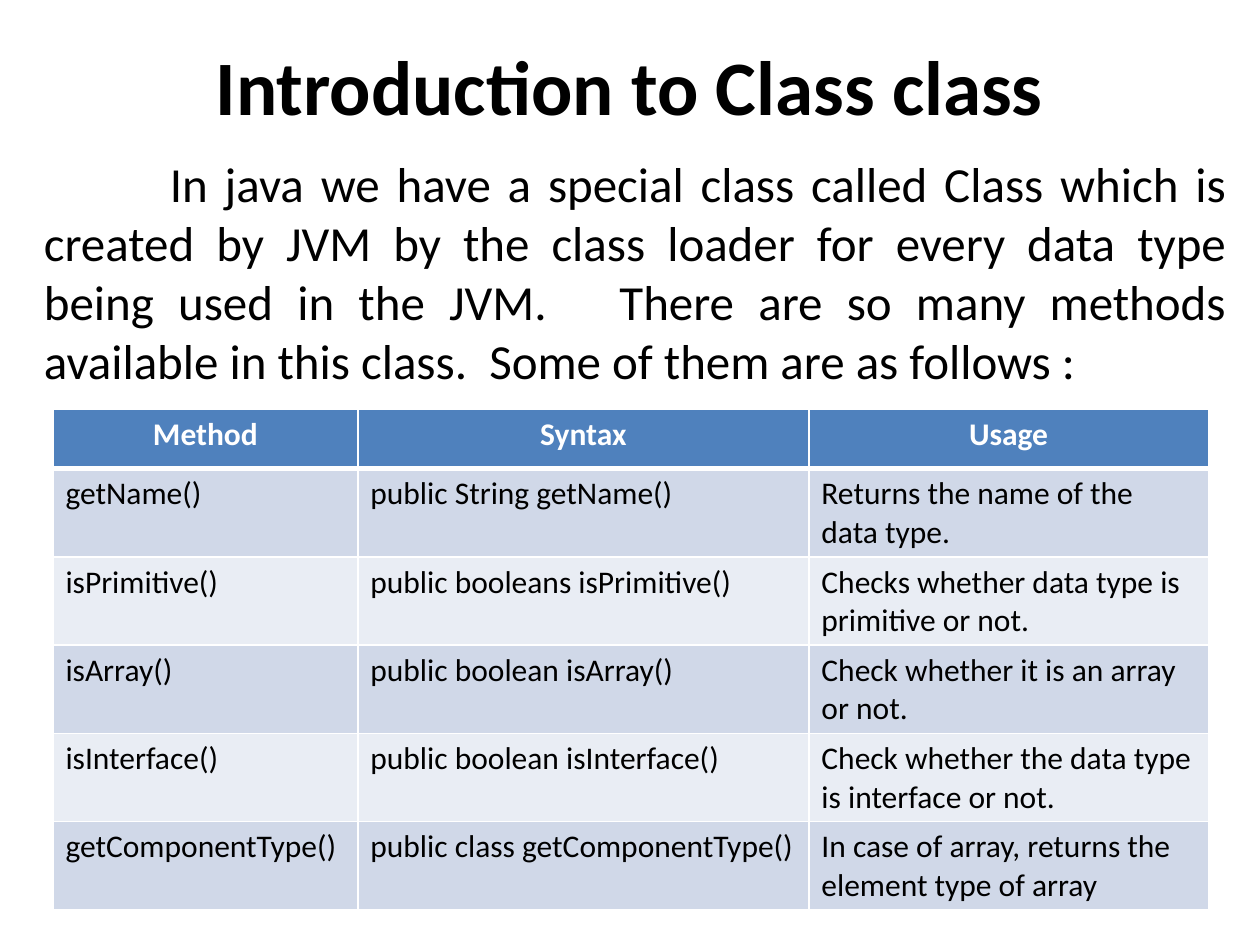
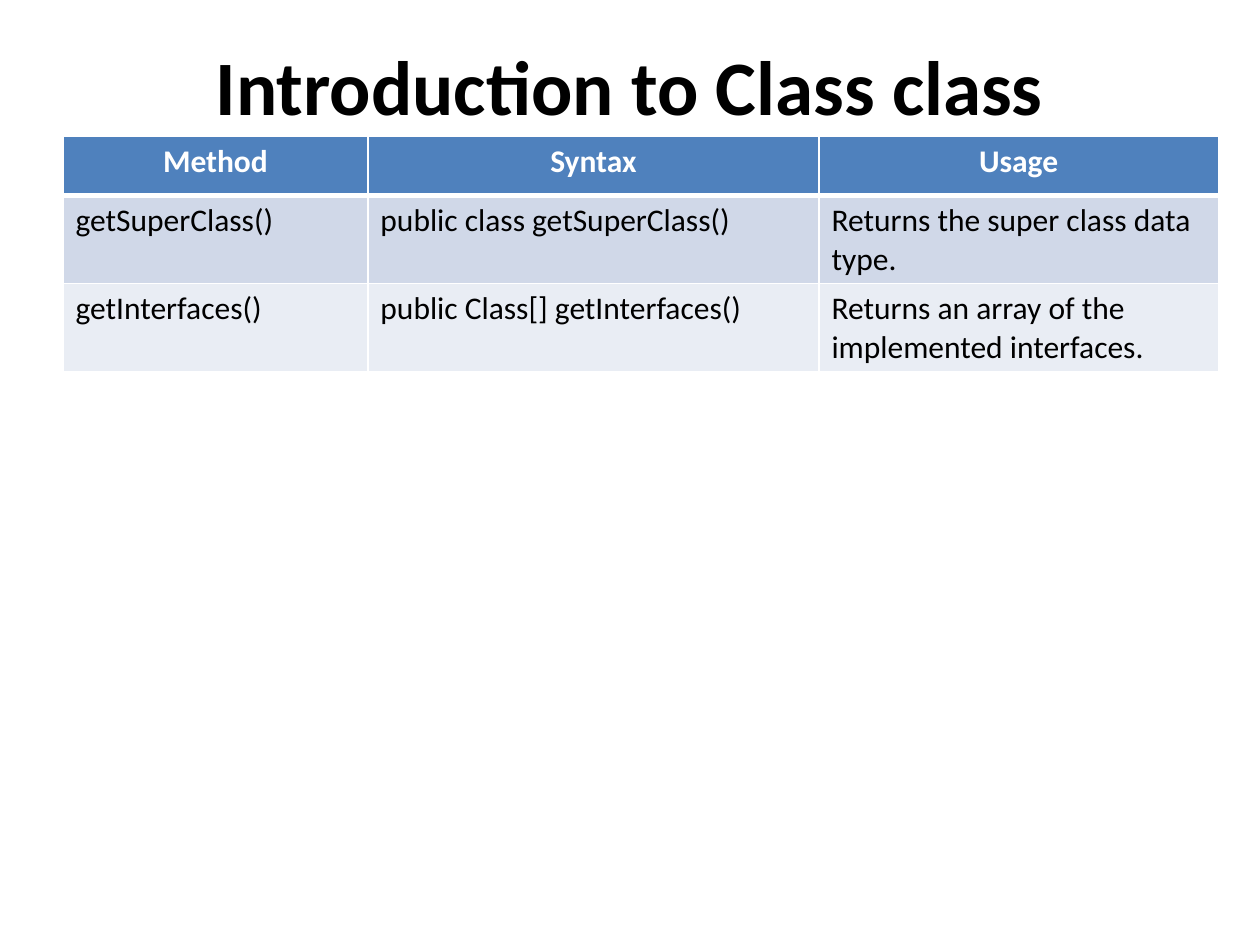
from dataclasses import dataclass

from lxml.etree import SubElement
from pptx import Presentation
from pptx.dml.color import RGBColor
from pptx.enum.text import MSO_ANCHOR, PP_ALIGN
from pptx.oxml.ns import qn
from pptx.slide import Slide
from pptx.table import _Cell
from pptx.text.text import TextFrame, _Paragraph
from pptx.util import Inches, Pt


@dataclass(frozen=True)
class Theme:
    font: str = "Calibri"
    ink: str = "000000"
    paper: str = "FFFFFF"
    header: str = "4F81BD"
    bands: tuple[str, str] = ("D0D8E8", "E9EDF4")
    title_size: int = 44
    intro_size: int = 28
    table_size: int = 18
    rule: int = 1
    header_rule: int = 3


@dataclass(frozen=True)
class Method:
    name: str
    syntax: str
    usage: str


@dataclass(frozen=True)
class MethodTable:
    left: float
    top: float
    methods: tuple[Method, ...]


THEME = Theme()
TITLE = "Introduction to Class class"
INTRO = (
    "In java we have a special class called Class which is created by JVM by the "
    "class loader for every data type being used in the JVM.   There are so many "
    "methods available in this class.  Some of them are as follows :"
)
HEADINGS = Method("Method", "Syntax", "Usage")
COLUMN_WIDTHS = (2.42, 3.58, 3.17)
HEADER_HEIGHT = 0.47
METHOD_HEIGHT = 0.7

TYPE_CHECKS = MethodTable(0.42, 3.25, (
    Method("getName()", "public String getName()", "Returns the name of the data type."),
    Method("isPrimitive()", "public booleans isPrimitive()",
           "Checks whether data type is primitive or not."),
    Method("isArray()", "public boolean isArray()", "Check whether it is an array or not."),
    Method("isInterface()", "public boolean isInterface()",
           "Check whether the data type is interface or not."),
    Method("getComponentType()", "public class getComponentType()",
           "In case of array, returns the element type of array"),
))
ANCESTRY = MethodTable(0.5, 1.08, (
    Method("getSuperClass()", "public class getSuperClass()",
           "Returns the super class data type."),
    Method("getInterfaces()", "public Class[] getInterfaces()",
           "Returns an array of the implemented interfaces."),
))


def write(paragraph: _Paragraph, text: str, size: int, align: PP_ALIGN,
          color: str = THEME.ink, bold: bool = False) -> None:
    paragraph.alignment = align
    run = paragraph.add_run()
    run.text = text
    run.font.name = THEME.font
    run.font.size = Pt(size)
    run.font.bold = bold
    run.font.color.rgb = RGBColor.from_string(color)


def add_frame(slide: Slide, left: float, top: float, width: float,
              height: float) -> TextFrame:
    frame = slide.shapes.add_textbox(
        Inches(left), Inches(top), Inches(width), Inches(height)).text_frame
    frame.word_wrap = True
    return frame


def add_title(slide: Slide) -> None:
    frame = add_frame(slide, 0, 0.17, 10, 1)
    frame.vertical_anchor = MSO_ANCHOR.MIDDLE
    write(frame.paragraphs[0], TITLE, THEME.title_size, PP_ALIGN.CENTER, bold=True)


def add_intro(slide: Slide) -> None:
    paragraph = add_frame(slide, 0.25, 1.17, 9.58, 1.99).paragraphs[0]
    write(paragraph, INTRO, THEME.intro_size, PP_ALIGN.JUSTIFY)
    paragraph._p.get_or_add_pPr().set("indent", str(Inches(1)))


def set_borders(cell: _Cell, top: int, bottom: int) -> None:
    properties = cell._tc.get_or_add_tcPr()
    widths = {"lnL": THEME.rule, "lnR": THEME.rule, "lnT": top, "lnB": bottom}
    for side, width in widths.items():
        line = SubElement(properties, qn(f"a:{side}"), w=str(Pt(width)))
        fill = SubElement(line, qn("a:solidFill"))
        SubElement(fill, qn("a:srgbClr"), val=THEME.paper)


def add_method_table(slide: Slide, spec: MethodTable) -> None:
    rows = (HEADINGS, *spec.methods)
    heights = [HEADER_HEIGHT] + [METHOD_HEIGHT] * len(spec.methods)
    table = slide.shapes.add_table(
        len(rows), len(COLUMN_WIDTHS), Inches(spec.left), Inches(spec.top),
        Inches(sum(COLUMN_WIDTHS)), Inches(sum(heights))).table
    for column, width in zip(table.columns, COLUMN_WIDTHS):
        column.width = Inches(width)
    for index, (method, height) in enumerate(zip(rows, heights)):
        table.rows[index].height = Inches(height)
        is_header = index == 0
        fill = THEME.header if is_header else THEME.bands[(index - 1) % 2]
        color = THEME.paper if is_header else THEME.ink
        align = PP_ALIGN.CENTER if is_header else PP_ALIGN.LEFT
        top = THEME.header_rule if index == 1 else THEME.rule
        bottom = THEME.header_rule if is_header else THEME.rule
        texts = (method.name, method.syntax, method.usage)
        for cell, text in zip(table.rows[index].cells, texts):
            set_borders(cell, top, bottom)
            cell.fill.solid()
            cell.fill.fore_color.rgb = RGBColor.from_string(fill)
            write(cell.text_frame.paragraphs[0], text, THEME.table_size, align,
                  color, is_header)


def main() -> None:
    deck = Presentation()
    deck.slide_width = Inches(10)
    deck.slide_height = Inches(7.5)
    blank = deck.slide_layouts[6]

    overview = deck.slides.add_slide(blank)
    add_title(overview)
    add_intro(overview)
    add_method_table(overview, TYPE_CHECKS)

    continuation = deck.slides.add_slide(blank)
    add_title(continuation)
    add_method_table(continuation, ANCESTRY)

    deck.save("out.pptx")


if __name__ == "__main__":
    main()
